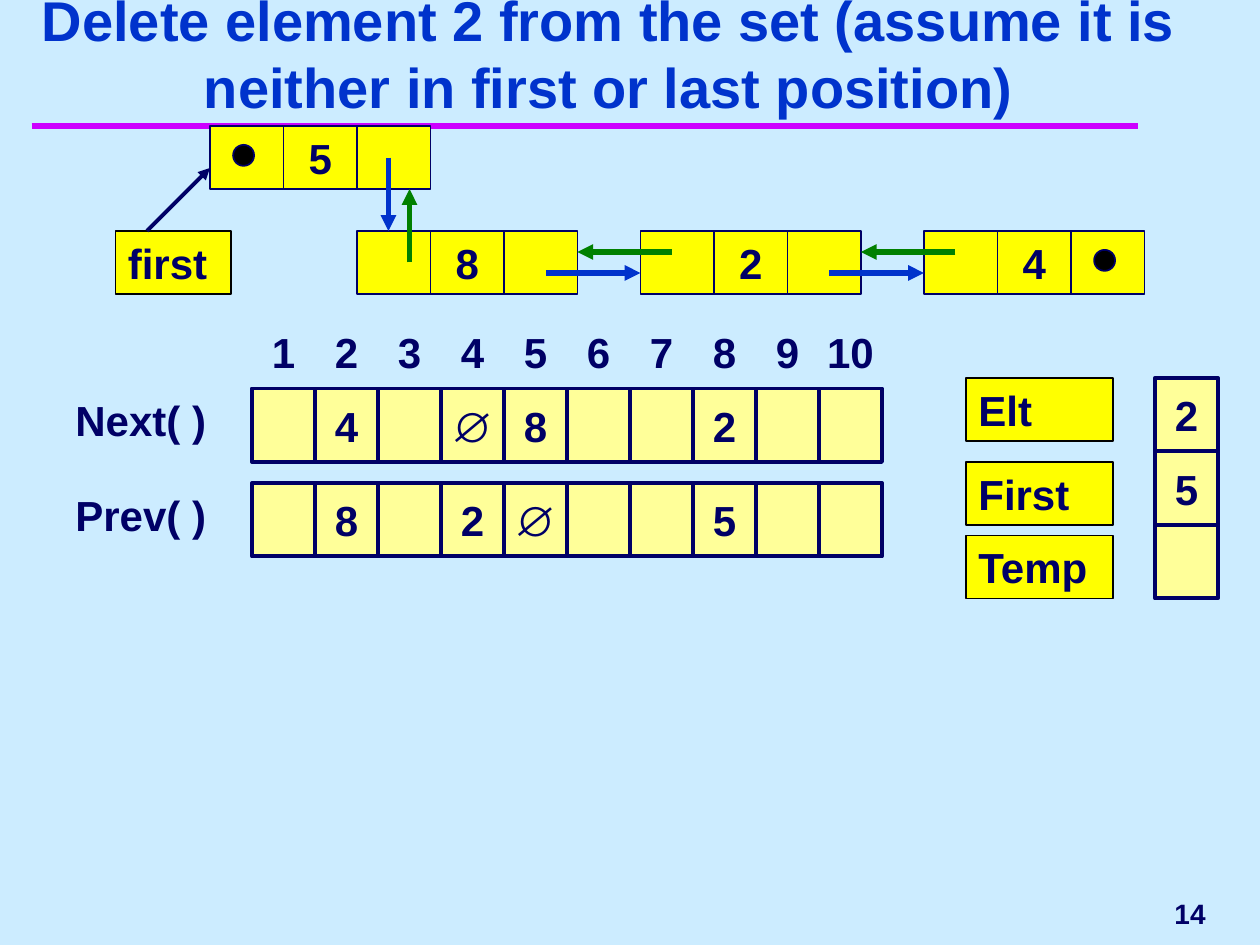
import pptx
import pptx.dml.color
import pptx.enum.shapes
import pptx.enum.text
import pptx.oxml
import pptx.util

SHAPE = pptx.enum.shapes.MSO_SHAPE
ALIGN = pptx.enum.text.PP_ALIGN
ANCHOR = pptx.enum.text.MSO_ANCHOR

NAVY, BLUE, GREEN = "000066", "0033CC", "008000"
BLACK, YELLOW, CREAM = "000000", "FFFF00", "FFFF99"
PURPLE, SKY = "CC00FF", "CCECFF"

NODE_W, NODE_H = 7, 6
SLOT_W, SLOT_H = 6, 7


def grid(n):
    """Length of n grid steps; the slide is 120 columns by 90 rows."""
    return pptx.util.Inches(n / 12)


def color(hue):
    return pptx.dml.color.RGBColor.from_string(hue)


def write(shape, text, size=24, hue=NAVY, align=ALIGN.CENTER,
          anchor=ANCHOR.MIDDLE, wrap=False):
    frame = shape.text_frame
    frame.word_wrap = wrap
    frame.auto_size = pptx.enum.text.MSO_AUTO_SIZE.NONE
    frame.vertical_anchor = anchor
    par = frame.paragraphs[0]
    par.alignment = align
    par.line_spacing = 1.0
    run = par.add_run()
    run.text = text
    run.font.name = "Arial"
    run.font.size = pptx.util.Pt(size)
    run.font.bold = True
    run.font.color.rgb = color(hue)


def box(slide, x, y, w, h, fill, edge=NAVY, width=1, kind=SHAPE.RECTANGLE):
    shape = slide.shapes.add_shape(kind, grid(x), grid(y), grid(w), grid(h))
    shape.shadow.inherit = False
    shape.fill.solid()
    shape.fill.fore_color.rgb = color(fill)
    shape.line.color.rgb = color(edge)
    shape.line.width = pptx.util.Pt(width)
    return shape


def label(slide, x, y, w, h, text, **style):
    """Text without a frame."""
    shape = slide.shapes.add_textbox(grid(x), grid(y), grid(w), grid(h))
    write(shape, text, **style)


def tag(slide, x, y, w, text):
    """Yellow box that names a variable."""
    write(box(slide, x, y, w, NODE_H, YELLOW, BLACK), text,
          align=ALIGN.LEFT, anchor=ANCHOR.TOP, wrap=True)


def line(slide, start, end, hue, width, head=True):
    link = slide.shapes.add_connector(
        pptx.enum.shapes.MSO_CONNECTOR.STRAIGHT,
        *(grid(n) for n in (*start, *end)))
    link.line.color.rgb = color(hue)
    link.line.width = pptx.util.Pt(width)
    if head:
        tail = pptx.oxml.parse_xml(
            '<a:tailEnd xmlns:a="http://schemas.openxmlformats.org/'
            'drawingml/2006/main" type="triangle"/>')
        link.line._get_or_add_ln().append(tail)
    flat = pptx.oxml.parse_xml(
        '<a:effectLst xmlns:a="http://schemas.openxmlformats.org/'
        'drawingml/2006/main"/>')
    link._element.spPr.append(flat)


def node(slide, x, y, value, dot=None):
    """List node of three cells; dot is the cell with a null link."""
    for i in range(3):
        cell = box(slide, x + i * NODE_W, y, NODE_W, NODE_H, YELLOW)
        if i == 1:
            write(cell, value)
    if dot is not None:
        box(slide, x + dot * NODE_W + 2.2, y + 1.8, 2, 2, BLACK,
            kind=SHAPE.OVAL)


def slot(slide, x, y, value):
    """Memory cell of an array or a variable."""
    cell = box(slide, x, y, SLOT_W, SLOT_H, CREAM, width=2.25)
    if value:
        write(cell, value)


def title(slide, text):
    head = slide.shapes.title
    head.left, head.top = grid(0), grid(3)
    head.width, head.height = grid(116), grid(9)
    write(head, text, size=32, hue=BLUE, anchor=ANCHOR.BOTTOM, wrap=True)
    line(slide, (3, 12), (108.4, 12), PURPLE, 4, head=False)


def chain(slide):
    """Doubly linked list with its links."""
    tag(slide, 11, 22, 11, "first")
    node(slide, 20, 12, "5", dot=0)
    node(slide, 34, 22, "8")
    node(slide, 61, 22, "2")
    node(slide, 88, 22, "4", dot=2)
    line(slide, (14, 22), (20, 16), NAVY, 2.25)
    line(slide, (39, 25), (39, 18), GREEN, 3)
    line(slide, (37, 15), (37, 22), BLUE, 3)
    for x in (61, 88):
        line(slide, (x + 3, 24), (x - 6, 24), GREEN, 3)
        line(slide, (x - 9, 26), (x, 26), BLUE, 3)


def arrays(slide):
    left = 24
    for i in range(10):
        label(slide, left + i * SLOT_W, 30, SLOT_W, SLOT_H, str(i + 1))
    rows = (
        ("Next( )", 37, {2: "4", 4: "∅", 5: "8", 8: "2"}),
        ("Prev( )", 46, {2: "8", 4: "2", 5: "∅", 8: "5"}),
    )
    for name, top, items in rows:
        label(slide, 6, top, 22, 6, name, align=ALIGN.LEFT,
              anchor=ANCHOR.TOP, wrap=True)
        for i in range(10):
            slot(slide, left + i * SLOT_W, top, items.get(i + 1))


def values(slide):
    rows = (("Elt", 36, "2"), ("First", 44, "5"), ("Temp", 51, None))
    for i, (name, top, value) in enumerate(rows):
        tag(slide, 92, top, 14, name)
        slot(slide, 110, 36 + i * SLOT_H, value)


def main():
    deck = pptx.Presentation()
    deck.slide_width, deck.slide_height = grid(120), grid(90)
    slide = deck.slides.add_slide(deck.slide_layouts[5])
    slide.background.fill.solid()
    slide.background.fill.fore_color.rgb = color(SKY)
    title(slide, "Delete element 2 from the set (assume it is "
                 "neither in first or last position)")
    chain(slide)
    arrays(slide)
    values(slide)
    label(slide, 93, 84, 23, 6, "14", size=16, align=ALIGN.RIGHT, wrap=True)
    deck.save("out.pptx")


if __name__ == "__main__":
    main()
